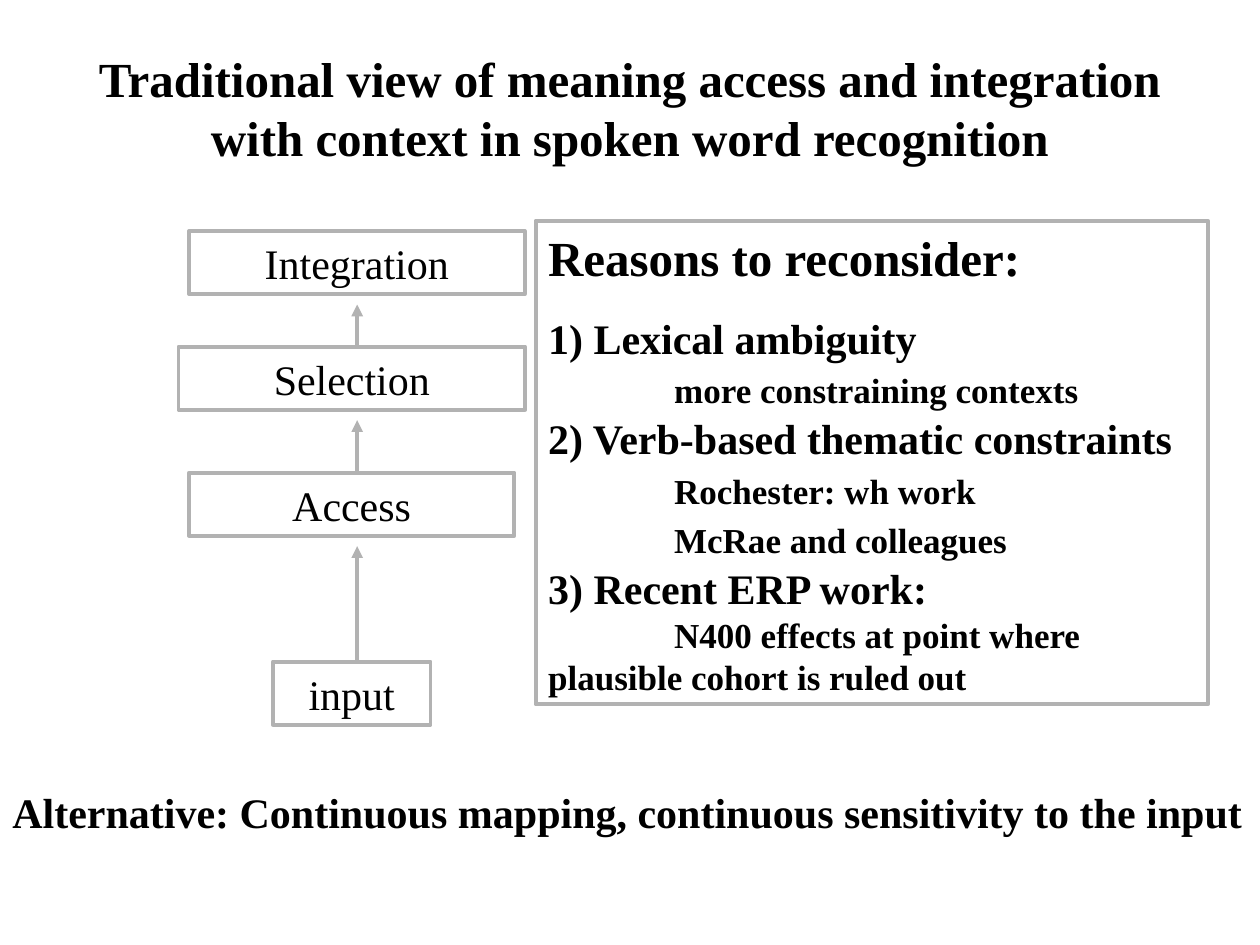
from itertools import pairwise

from lxml import etree
from pptx import Presentation
from pptx.dml.color import RGBColor
from pptx.enum.shapes import MSO_CONNECTOR, MSO_SHAPE
from pptx.enum.text import MSO_ANCHOR, MSO_AUTO_SIZE, PP_ALIGN
from pptx.oxml.ns import qn
from pptx.util import Cm, Pt

LEFT, CENTER = PP_ALIGN.LEFT, PP_ALIGN.CENTER
TOP = MSO_ANCHOR.TOP
FIXED = MSO_AUTO_SIZE.NONE
RECT = MSO_SHAPE.RECTANGLE
STRAIGHT = MSO_CONNECTOR.STRAIGHT

BOX_H = 1.27
AXIS = 7.2
GAP = 0.21

# Text, left, top, width, from the input upward
STAGES = [
    ("input", 5.5, 13.34, 3.18),
    ("Access", 3.81, 9.53, 6.56),
    ("Selection", 3.6, 6.99, 6.99),
    ("Integration", 3.81, 4.66, 6.77),
]

HEAD = {"size": 28, "bold": True}
POINT = {"size": 24, "bold": True}
SUB = {"size": 20, "bold": True, "indent": 2.54, "before": 3.5, "after": 1}
LAST = {"size": 20, "bold": True, "indent": 2.54}

REASONS = [
    ("Reasons to reconsider:", HEAD),
    ("1) Lexical ambiguity", {**POINT, "before": 15}),
    ("more constraining contexts", SUB),
    ("2) Verb-based thematic constraints", POINT),
    ("Rochester: wh work", SUB),
    ("McRae and colleagues", SUB),
    ("3) Recent ERP work:", POINT),
    ("N400 effects at point where plausible cohort is ruled out", LAST),
]


def color(code):
    return RGBColor.from_string(code)


class Deck:
    font = "Times New Roman"
    ink = "000000"
    edge = "B2B2B2"
    weight = 2.25

    def __init__(self):
        self.file = Presentation()
        self.file.slide_width = Cm(25.4)
        self.file.slide_height = Cm(19.05)
        self.slide = self.file.slides.add_slide(self.file.slide_layouts[5])

    def label(self, shape, lines, align=LEFT):
        """Fill a shape with (text, format) paragraphs."""
        frame = shape.text_frame
        look = {"word_wrap": True, "auto_size": FIXED, "vertical_anchor": TOP,
                "margin_left": Cm(0.25), "margin_right": Cm(0.25),
                "margin_top": Cm(0.13), "margin_bottom": Cm(0.13)}
        for name, value in look.items():
            setattr(frame, name, value)
        for i, (text, form) in enumerate(lines):
            para = frame.add_paragraph() if i else frame.paragraphs[0]
            run = para.add_run()
            run.text = text
            space = {"alignment": align,
                     "space_before": Pt(form.get("before", 0)),
                     "space_after": Pt(form.get("after", 0))}
            for name, value in space.items():
                setattr(para, name, value)
            if "indent" in form:
                props = para._p.get_or_add_pPr()
                props.set("marL", "0")
                props.set("indent", str(Cm(form["indent"])))
            style = {"name": self.font, "size": Pt(form["size"]),
                     "bold": form.get("bold", False)}
            for name, value in style.items():
                setattr(run.font, name, value)
            run.font.color.rgb = color(self.ink)

    def title(self, text, left, top, width, height):
        shape = self.slide.shapes.title
        place = {"left": left, "top": top, "width": width, "height": height}
        for name, value in place.items():
            setattr(shape, name, Cm(value))
        self.label(shape, [(text, HEAD)], CENTER)

    def note(self, text, *place):
        shape = self.slide.shapes.add_textbox(*map(Cm, place))
        self.label(shape, [(text, POINT)])

    def box(self, lines, *place, align=LEFT):
        shape = self.slide.shapes.add_shape(RECT, *map(Cm, place))
        shape.shadow.inherit = False
        shape.fill.background()
        self.stroke(shape.line)
        self.label(shape, lines, align)

    def stroke(self, line):
        line.color.rgb = color(self.edge)
        line.width = Pt(self.weight)

    def arrow(self, *ends):
        link = self.slide.shapes.add_connector(STRAIGHT, *map(Cm, ends))
        self.stroke(link.line)
        props = link._element.spPr
        etree.SubElement(props.find(qn("a:ln")), qn("a:tailEnd"), type="triangle")
        etree.SubElement(props, qn("a:effectLst"))


def main():
    deck = Deck()
    deck.title("Traditional view of meaning access and integration "
               "with context in spoken word recognition",
               1.48, 0.85, 22.43, 2.64)
    for text, left, top, width in STAGES:
        deck.box([(text, {"size": 24})], left, top, width, BOX_H, align=CENTER)
    for low, high in pairwise(STAGES):
        deck.arrow(AXIS, low[2], AXIS, high[2] + BOX_H + GAP)
    deck.box(REASONS, 10.8, 4.45, 13.55, 9.75)
    deck.note("Alternative: Continuous mapping, continuous sensitivity to the input",
              0, 15.72, 25.4, BOX_H)
    deck.file.save("out.pptx")


if __name__ == "__main__":
    main()
